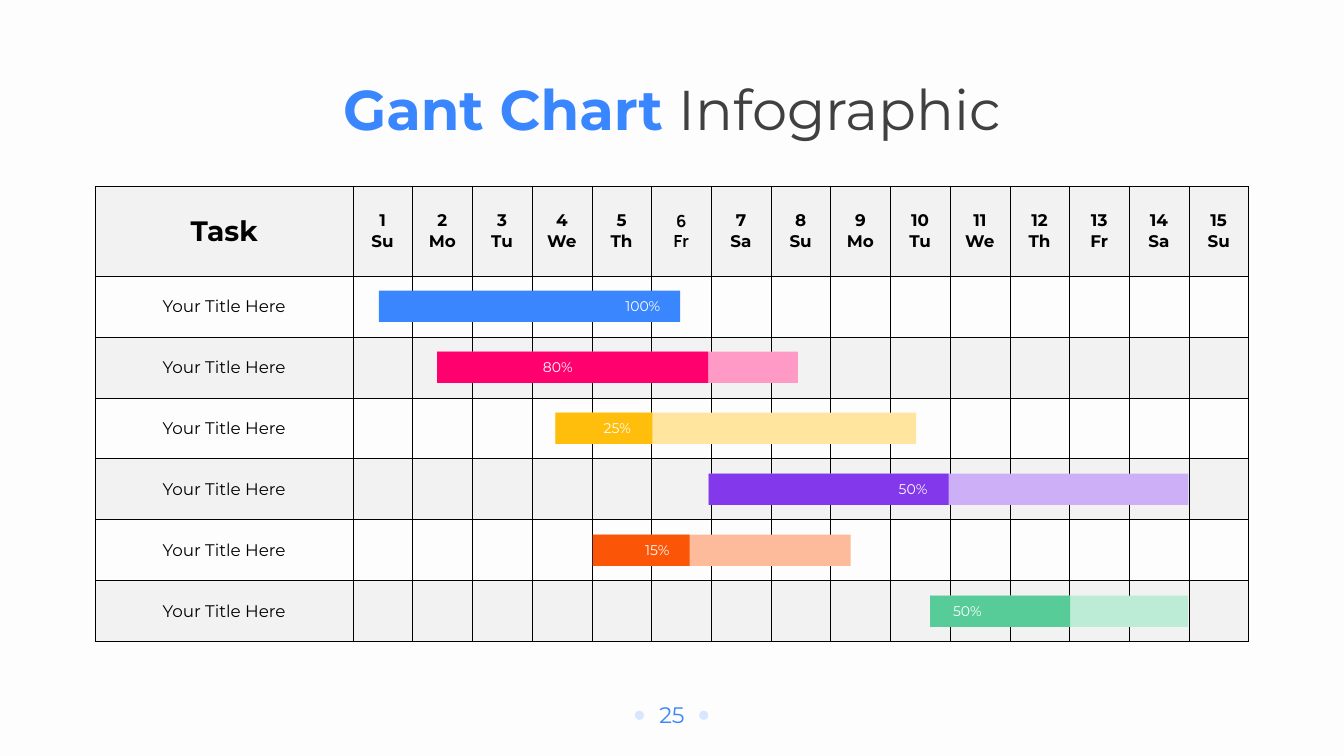
import dataclasses

import lxml.etree
import pptx
import pptx.dml.color
import pptx.enum.shapes
import pptx.enum.text
import pptx.oxml.ns
import pptx.util

Cm = pptx.util.Cm
Align = pptx.enum.text.PP_ALIGN
Anchor = pptx.enum.text.MSO_ANCHOR
Preset = pptx.enum.shapes.MSO_SHAPE


@dataclasses.dataclass(frozen=True)
class Theme:
    """Fonts, colours and type sizes of the deck."""
    font: str = "Montserrat"
    alternate_font: str = "Manrope"
    paper: str = "FDFDFD"
    band: str = "F2F2F2"
    white: str = "FFFFFF"
    ink: str = "000000"
    grey: str = "404040"
    blue: str = "3A86FF"
    dot: str = "D8E7FF"
    title_size: float = 40
    task_size: float = 20
    number_size: float = 16
    body_size: float = 12
    alternate_size: float = 11.9
    label_size: float = 10


@dataclasses.dataclass(frozen=True)
class Box:
    """A rectangle in centimetres."""
    left: float
    top: float
    width: float
    height: float

    def lengths(self):
        """Return the four lengths for a shape call."""
        return [Cm(value) for value in dataclasses.astuple(self)]


THEME = Theme()
TASK_WIDTH = 6.48
HEADER_HEIGHT = 2.26
BAR_HEIGHT = 0.79
WEEKDAYS = ["Su", "Mo", "Tu", "We", "Th", "Fr", "Sa"]
DAY_COUNT = 15
FLOATING_DAY = 6
# start, planned length, done length, label right edge, label, done colour, planned colour
BARS = [
    (0.66, 7.59, 7.59, 8.0, "100%", "3A86FF", None),
    (2.13, 9.09, 6.83, 5.79, "80%", "FF006E", "FF99C5"),
    (5.11, 9.09, 2.44, 7.26, "25%", "FFBE0B", "FFE59D"),
    (8.97, 12.09, 6.05, 14.73, "50%", "8338EC", "CDAFF7"),
    (6.05, 6.5, 2.44, 8.23, "15%", "FB5607", "FDBB9C"),
    (14.55, 6.5, 3.53, 16.1, "50%", "57CC99", "BCEBD6"),
]


def apply_format(target, **values):
    """Set each named attribute on the target."""
    for name, value in values.items():
        setattr(target, name, value)


def paint(fill, color):
    """Make a fill solid in one colour."""
    fill.solid()
    fill.fore_color.rgb = pptx.dml.color.RGBColor.from_string(color)


def write_span(para, text, size, color, bold=False, font=THEME.font):
    """Add a formatted span to a paragraph."""
    span = para.add_run()
    span.text = text
    apply_format(span.font, name=font, size=pptx.util.Pt(size), bold=bold)
    span.font.color.rgb = pptx.dml.color.RGBColor.from_string(color)


def write_lines(frame, lines, size, color, align=Align.CENTER, **style):
    """Write one aligned paragraph per line into a text frame."""
    for index, line in enumerate(lines):
        para = frame.add_paragraph() if index else frame.paragraphs[0]
        para.alignment = align
        write_span(para, line, size, color, **style)


def add_text(page, box, lines, size, color, anchor=Anchor.TOP, **style):
    """Add a wrapping text box."""
    frame = page.shapes.add_textbox(*box.lengths()).text_frame
    apply_format(frame, word_wrap=True, vertical_anchor=anchor)
    write_lines(frame, lines, size, color, **style)


def add_block(page, preset, box, color):
    """Add a flat shape without outline."""
    shape = page.shapes.add_shape(preset, *box.lengths())
    shape.shadow.inherit = False
    paint(shape.fill, color)
    shape.line.fill.background()


def format_cell(cell, banded):
    """Give a cell thin black borders and its row fill."""
    properties = cell._tc.get_or_add_tcPr()
    name = pptx.oxml.ns.qn
    for side in ("a:lnL", "a:lnR", "a:lnT", "a:lnB"):
        line = lxml.etree.SubElement(properties, name(side), w="3175")
        solid = lxml.etree.SubElement(line, name("a:solidFill"))
        lxml.etree.SubElement(solid, name("a:srgbClr"), val=THEME.ink)
    paint(cell.fill, THEME.band if banded else THEME.white)
    if not banded:
        color = properties.find(name("a:solidFill")).find(name("a:srgbClr"))
        lxml.etree.SubElement(color, name("a:alpha"), val="15000")
    cell.vertical_anchor = Anchor.MIDDLE


def draw_title(page, box):
    """Place the two-tone title."""
    title = page.shapes.title
    apply_format(title, **dict(zip(("left", "top", "width", "height"), box.lengths())))
    frame = title.text_frame
    apply_format(frame, word_wrap=True, vertical_anchor=Anchor.TOP,
                 auto_size=pptx.enum.text.MSO_AUTO_SIZE.NONE)
    para = frame.paragraphs[0]
    para.alignment = Align.CENTER
    write_span(para, "Gant Chart ", THEME.title_size, THEME.blue, bold=True)
    write_span(para, "Infographic", THEME.title_size, THEME.grey)


def draw_schedule(page, box):
    """Draw the day grid with its header and task column."""
    day_width = (box.width - TASK_WIDTH) / DAY_COUNT
    row_height = (box.height - HEADER_HEIGHT) / len(BARS)
    table = page.shapes.add_table(len(BARS) + 1, DAY_COUNT + 1, *box.lengths()).table
    apply_format(table, first_row=False, horz_banding=False)
    for index, column in enumerate(table.columns):
        column.width = Cm(day_width if index else TASK_WIDTH)
    for index, row in enumerate(table.rows):
        row.height = Cm(row_height if index else HEADER_HEIGHT)
        for cell in row.cells:
            format_cell(cell, banded=index % 2 == 0)
        if index:
            write_lines(row.cells[0].text_frame, ["Your Title Here"], THEME.body_size, THEME.ink)
    write_lines(table.cell(0, 0).text_frame, ["Task"], THEME.task_size, THEME.ink, bold=True)
    for day in range(1, DAY_COUNT + 1):
        lines = [str(day), WEEKDAYS[(day - 1) % len(WEEKDAYS)]]
        if day == FLOATING_DAY:
            center = box.left + TASK_WIDTH + (day - 0.5) * day_width
            add_text(page, Box(center - 0.85, box.top + 0.51, 1.7, 1.27), lines,
                     THEME.alternate_size, THEME.ink, bold=True, font=THEME.alternate_font)
        else:
            write_lines(table.cell(0, day).text_frame, lines, THEME.body_size, THEME.ink, bold=True)


def draw_bars(page, box):
    """Draw one progress bar centred in each row of the box."""
    row_height = box.height / len(BARS)
    for index, (start, planned, done, edge, label, strong, pale) in enumerate(BARS):
        middle = box.top + (index + 0.5) * row_height
        for length, color in ((planned, pale), (done, strong)):
            if color:
                add_block(page, Preset.RECTANGLE,
                          Box(box.left + start, middle - BAR_HEIGHT / 2, length, BAR_HEIGHT), color)
        add_text(page, Box(box.left + edge - 1.78, middle - 0.34, 1.78, 0.68), [label],
                 THEME.label_size, THEME.white, anchor=Anchor.MIDDLE, align=Align.RIGHT)


def draw_page_number(page, box):
    """Place the page number between two dots."""
    add_text(page, box, ["25"], THEME.number_size, THEME.blue)
    for offset in (-0.15, box.width - 0.1):
        add_block(page, Preset.OVAL, Box(box.left + offset, box.top + 0.36, 0.23, 0.23), THEME.dot)


def draw_gantt_page(page):
    """Lay out the regions of the Gantt slide."""
    paint(page.background.fill, THEME.paper)
    grid = Box(2.41, 4.69, 29.06, 11.48)
    draw_page_number(page, Box(16.15, 17.55, 1.57, 0.94))
    draw_schedule(page, grid)
    draw_bars(page, Box(grid.left + TASK_WIDTH, grid.top + HEADER_HEIGHT,
                        grid.width - TASK_WIDTH, grid.height - HEADER_HEIGHT))
    draw_title(page, Box(8.26, 1.75, 17.35, 1.96))


def main():
    """Build and save the deck."""
    deck = pptx.Presentation()
    apply_format(deck, slide_width=Cm(33.87), slide_height=Cm(19.05))
    draw_gantt_page(deck.slides.add_slide(deck.slide_layouts[5]))
    deck.save("out.pptx")


if __name__ == "__main__":
    main()
